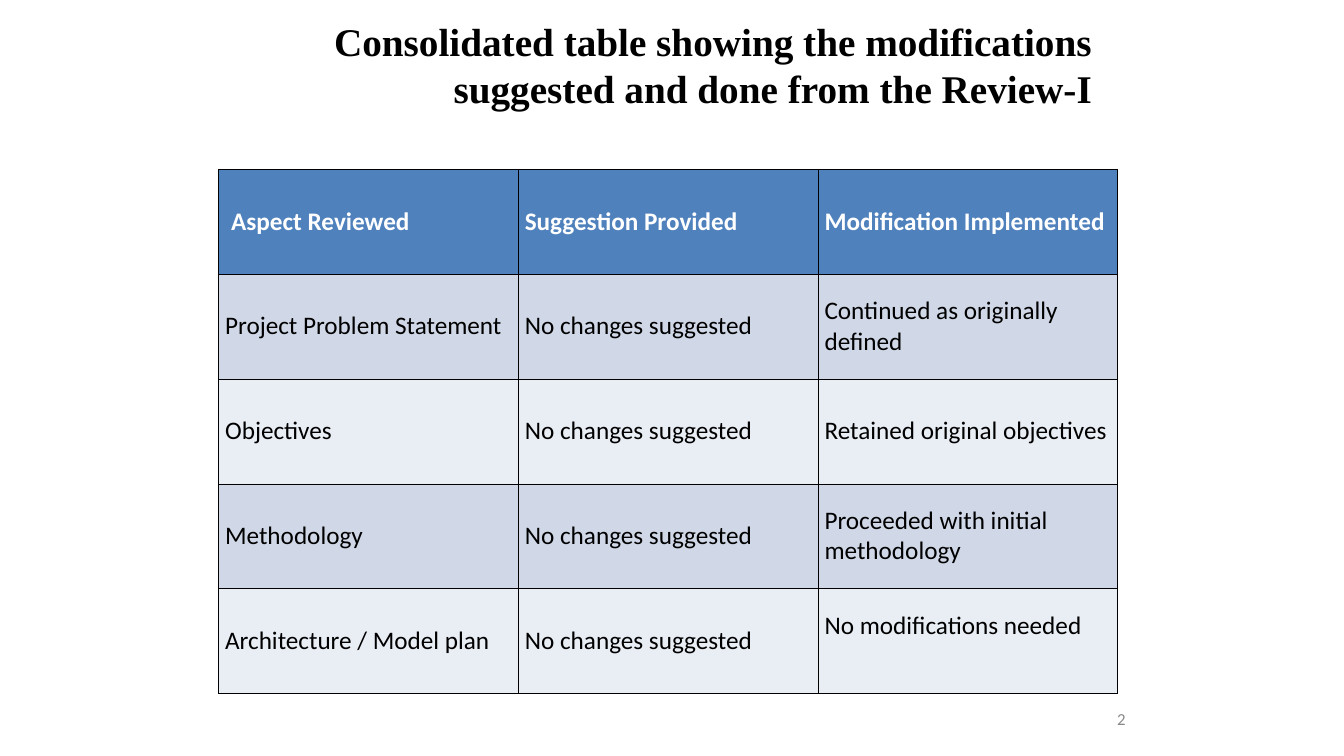
import pptx
import pptx.util
import pptx.dml.color
import pptx.enum.text
from lxml import etree
from pptx.util import Inches
from pptx.enum.text import MSO_ANCHOR, PP_ALIGN

# Content
TITLE = "Consolidated table showing the modifications suggested and done from the Review-I"
PAGE_NUMBER = "2"
ROWS = [
    ("Aspect Reviewed", "Suggestion Provided", "Modification Implemented"),
    ("Project Problem Statement", "No changes suggested", "Continued as originally defined"),
    ("Objectives", "No changes suggested", "Retained original objectives"),
    ("Methodology", "No changes suggested", "Proceeded with initial methodology"),
    ("Architecture / Model plan", "No changes suggested", "No modifications needed"),
]
HEADER_FILL = "4F81BD"
BAND_FILLS = ("D0D8E8", "E9EDF4")
COLUMN_WIDTH, ROW_HEIGHT, MARGIN = 4.46, 1.56, 0.1


def color(hex_string):
    return pptx.dml.color.RGBColor.from_string(hex_string)


def write(frame, text, size, font, hex_string, bold=False, align=PP_ALIGN.LEFT):
    frame.word_wrap = True
    frame.text = text
    para = frame.paragraphs[0]
    para.alignment = align
    para.line_spacing = pptx.util.Pt(size * 1.2)
    for span in para.runs:
        span.font.size = pptx.util.Pt(size)
        span.font.name = font
        span.font.bold = bold
        span.font.color.rgb = color(hex_string)


def clear_margins(frame):
    frame.margin_left = frame.margin_right = frame.margin_top = frame.margin_bottom = 0
    frame.auto_size = pptx.enum.text.MSO_AUTO_SIZE.NONE


def add_borders(cell, hex_string="000000", points=0.53):
    properties = cell._tc.get_or_add_tcPr()
    ns = "{http://schemas.openxmlformats.org/drawingml/2006/main}"
    for index, side in enumerate(("lnL", "lnR", "lnT", "lnB")):
        line = etree.Element(ns + side, w=str(int(pptx.util.Pt(points))))
        fill = etree.SubElement(line, ns + "solidFill")
        etree.SubElement(fill, ns + "srgbClr", val=hex_string)
        properties.insert(index, line)


deck = pptx.Presentation()
deck.slide_width, deck.slide_height = Inches(20), Inches(11.25)
page = deck.slides.add_slide(deck.slide_layouts[5])

# Title
title = page.shapes.title
title.left, title.top = Inches(4.41), Inches(0.26)
title.width, title.height = Inches(11.84), Inches(2.15)
clear_margins(title.text_frame)
title.text_frame.vertical_anchor = MSO_ANCHOR.TOP
write(title.text_frame, TITLE, 42, "Times New Roman", "000000", True, PP_ALIGN.RIGHT)

# Page number
box = page.shapes.add_textbox(Inches(13.25), Inches(10.38), Inches(3.5), Inches(0.64))
clear_margins(box.text_frame)
box.text_frame.vertical_anchor = MSO_ANCHOR.MIDDLE
write(box.text_frame, PAGE_NUMBER, 18, "Calibri", "898989", align=PP_ALIGN.RIGHT)

# Review table
columns = len(ROWS[0])
table = page.shapes.add_table(
    len(ROWS), columns, Inches(3.25), Inches(2.52),
    Inches(COLUMN_WIDTH * columns), Inches(ROW_HEIGHT * len(ROWS))).table
for column in table.columns:
    column.width = Inches(COLUMN_WIDTH)
for row in table.rows:
    row.height = Inches(ROW_HEIGHT)

for r, texts in enumerate(ROWS):
    header = r == 0
    for c, text in enumerate(texts):
        cell = table.cell(r, c)
        cell.margin_left = cell.margin_right = Inches(MARGIN)
        cell.margin_top = cell.margin_bottom = Inches(MARGIN)
        cell.vertical_anchor = MSO_ANCHOR.MIDDLE
        cell.fill.solid()
        cell.fill.fore_color.rgb = color(HEADER_FILL if header else BAND_FILLS[(r - 1) % 2])
        write(cell.text_frame, text, 27, "Calibri", "FFFFFF" if header else "000000", header)
        add_borders(cell)

# The first heading is slightly indented; the last cell sits half a line higher
table.cell(0, 0).margin_left = Inches(MARGIN + 0.09)
table.cell(len(ROWS) - 1, columns - 1).margin_bottom = Inches(MARGIN + 0.45)

deck.save("out.pptx")
